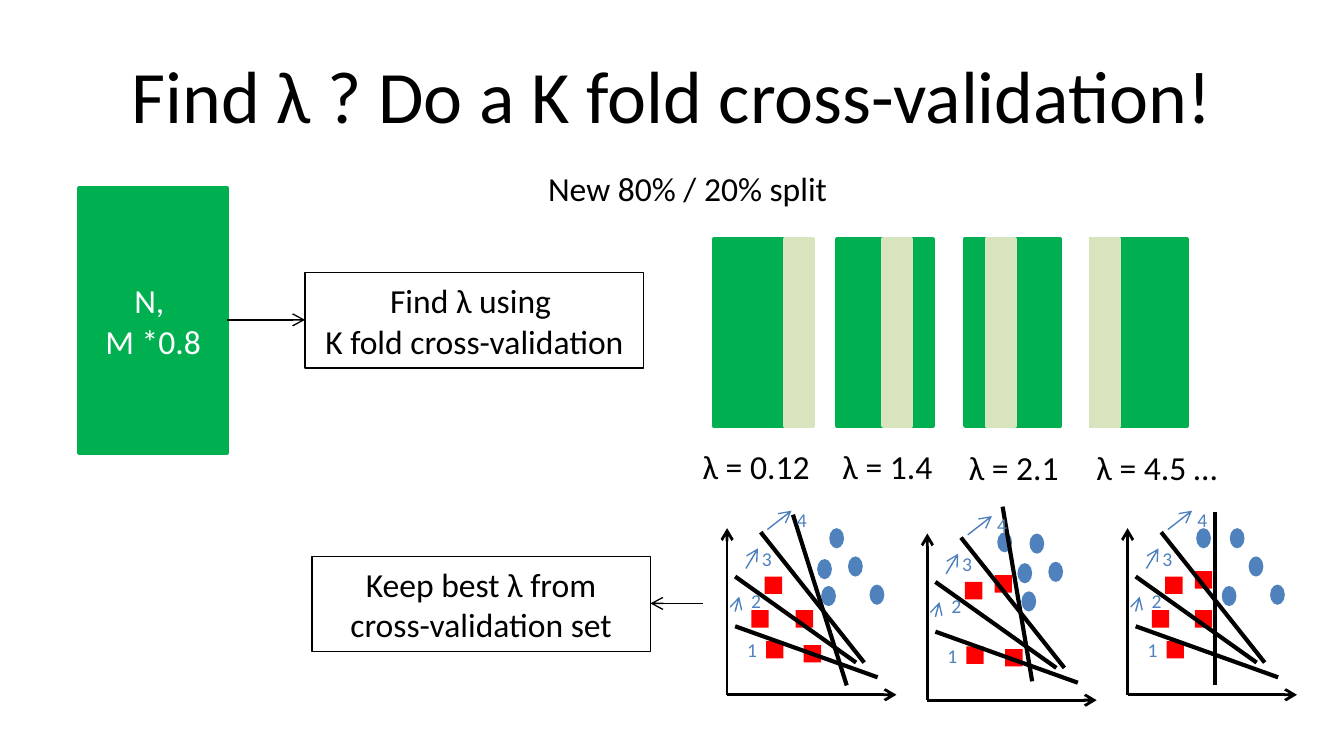
"""Build a slide on finding lambda with K fold cross-validation."""
from dataclasses import dataclass

from lxml.etree import SubElement
from pptx import Presentation
from pptx.dml.color import RGBColor
from pptx.enum.shapes import MSO_CONNECTOR as Connector, MSO_SHAPE as Shape
from pptx.enum.text import MSO_ANCHOR as Anchor, PP_ALIGN as Align
from pptx.oxml.ns import qn
from pptx.util import Inches, Pt


@dataclass(frozen=True)
class Theme:
    font: str = "Calibri"
    black: str = "000000"
    white: str = "FFFFFF"
    train: str = "00B050"
    held_out: str = "D7E4BD"
    square: str = "FF0000"
    circle: str = "4F81BD"
    step: str = "4B7EBC"
    title_size: float = 39.6
    body_size: float = 18
    digit_size: float = 10.5
    thin: float = 0.75
    axis: float = 1.5
    edge: float = 2
    boundary: float = 2.25


THEME = Theme()
COLUMNS, ROWS = 100, 56.25

TITLE = ("Find λ ? Do a K fold cross-validation!", (5, 2.3, 90, 9.4))
SPLIT = ("New 80% / 20% split", (39.8, 12, 23, 4))
DATASET = ("N, \nM *0.8", (5.9, 14, 11, 19.7))
STEPS = [
    ("Find λ using \nK fold cross-validation", (22.7, 20.3, 25.2, 7.1)),
    ("Keep best λ from cross-validation set", (23.2, 41.4, 25.2, 7.1)),
]
FLOW = [((16.9, 23.8), (22.7, 23.8)), ((52.3, 44.9), (48.4, 44.9))]

FOLD_TOP, FOLD_WIDTH, FOLD_HEIGHT, HELD_OUT_WIDTH = 17.8, 7.1, 13.9, 2.1
FOLDS = [
    {"left": 53.1, "held_out": 5.3, "label": "λ = 0.12", "label_box": (51.3, 32.7, 10.3, 4)},
    {"left": 62.3, "held_out": 3.4, "label": "λ = 1.4", "label_box": (61.7, 32.7, 8.8, 4)},
    {"left": 71.8, "held_out": 1.6, "label": "λ = 2.1", "label_box": (71.1, 32.8, 8.8, 4)},
    {"left": 81.2, "held_out": 0, "label": "λ = 4.5 …", "label_box": (80.6, 32.8, 11.3, 4)},
]

AXES = [((0, 0), (0, -12.4)), ((0, 0), (12.6, 0))]
SQUARES = [(2.9, -4), (2.8, -8.8)]
CIRCLES = [(7.6, -12.4), (9, -10.3), (7, -8.1)]
BOUNDARIES = [((2.5, -12.1), (10.2, -2.4)), ((0.6, -5.1), (11.2, -1.3)), ((0.6, -8.8), (9.6, -2.4))]
TURNS = [((0.6, -6.2), (0.9, -7.3)), ((1.4, -9.4), (2.3, -10.9)), ((3, -12.3), (4.8, -13.7))]
DIGITS = [("1", (0.5, -4.7)), ("2", (0.8, -8.4)), ("3", (1.6, -11.5)), ("4", (4.2, -14.4))]
PLOTS = [
    {"origin": (83.9, 51.7), "steep": ((6.5, -13.6), (6.5, -0.7)),
     "squares": [(5, -9.2), (1.8, -6.3), (5, -6.3)],
     "circles": [(5.1, -12.4), (10.6, -8.2)]},
    {"origin": (69, 52.1), "steep": ((5.6, -14.4), (7.8, -1.4)),
     "squares": [(5, -9.3), (5.8, -3.8)],
     "circles": [(5.2, -12.5), (6.7, -10.2)]},
    {"origin": (54.1, 51.7), "steep": ((4.9, -13.4), (8.9, -0.7)),
     "squares": [(1.8, -6.3), (5.1, -6.3), (5.7, -3.7)],
     "circles": [(6.7, -10.1), (10.6, -8.2)]},
]

deck = Presentation()
deck.slide_width = Inches(10)
deck.slide_height = deck.slide_width * 9 // 16
page = deck.slides.add_slide(deck.slide_layouts[6])


def place(across, down):
    return round(across * deck.slide_width / COLUMNS), round(down * deck.slide_height / ROWS)


def frame(box):
    left, top, width, height = box
    return *place(left, top), *place(width, height)


def shift(point, origin):
    return point[0] + origin[0], point[1] + origin[1]


def write(shape, text, size, color, align=Align.CENTER, wrap=True, anchor=Anchor.MIDDLE):
    shape.text_frame.text = text
    shape.text_frame.word_wrap = wrap
    shape.text_frame.vertical_anchor = anchor
    for para in shape.text_frame.paragraphs:
        para.alignment = align
        for span in para.runs:
            span.font.name = THEME.font
            span.font.size = Pt(size)
            span.font.color.rgb = RGBColor.from_string(color)


def label(parent, text, box, size=THEME.body_size, color=THEME.black):
    write(parent.add_textbox(*frame(box)), text, size, color, Align.LEFT, False, Anchor.TOP)


def block(parent, kind, box, fill=None, outline=None, width=THEME.edge):
    shape = parent.add_shape(kind, *frame(box))
    shape.shadow.inherit = False
    if fill:
        shape.fill.solid()
        shape.fill.fore_color.rgb = RGBColor.from_string(fill)
    else:
        shape.fill.background()
    if outline:
        shape.line.color.rgb = RGBColor.from_string(outline)
        shape.line.width = Pt(width)
    else:
        shape.line.fill.background()
    return shape


def stroke(parent, ends, color, width, arrow=False):
    start, end = ends
    connector = parent.add_connector(Connector.STRAIGHT, *place(*start), *place(*end))
    connector.line.color.rgb = RGBColor.from_string(color)
    connector.line.width = Pt(width)
    properties = connector.element.spPr
    if arrow:
        SubElement(properties.find(qn("a:ln")), qn("a:tailEnd"), type="arrow")
    SubElement(properties, qn("a:effectLst"))


def draw_fold(fold):
    strips = [(fold["left"], FOLD_WIDTH, THEME.train),
              (fold["left"] + fold["held_out"], HELD_OUT_WIDTH, THEME.held_out)]
    for left, width, color in strips:
        block(page.shapes, Shape.RECTANGLE, (left, FOLD_TOP, width, FOLD_HEIGHT), color, color)
    label(page.shapes, fold["label"], fold["label_box"])


def draw_plot(plot):
    parent, origin = page.shapes.add_group_shape().shapes, plot["origin"]
    markers = [
        (Shape.RECTANGLE, SQUARES + plot["squares"], (1.3, 1.3), THEME.square),
        (Shape.OVAL, CIRCLES + plot["circles"], (1.1, 1.5), THEME.circle),
    ]
    strokes = [
        (AXES, THEME.black, THEME.axis, True),
        (BOUNDARIES + [plot["steep"]], THEME.black, THEME.boundary, False),
        (TURNS, THEME.step, THEME.thin, True),
    ]
    for kind, points, size, color in markers:
        for point in points:
            block(parent, kind, (*shift(point, origin), *size), color)
    for lines, color, width, arrow in strokes:
        for start, end in lines:
            stroke(parent, (shift(start, origin), shift(end, origin)), color, width, arrow)
    for digit, point in DIGITS:
        label(parent, digit, (*shift(point, origin), 2.8, 2.9), THEME.digit_size, THEME.circle)


def main():
    title, title_box = TITLE
    write(page.shapes.add_textbox(*frame(title_box)), title, THEME.title_size, THEME.black)
    text, box = DATASET
    dataset = block(page.shapes, Shape.RECTANGLE, box, THEME.train, THEME.train)
    write(dataset, text, THEME.body_size, THEME.white)
    for text, box in STEPS:
        step = block(page.shapes, Shape.RECTANGLE, box, None, THEME.black, THEME.thin)
        write(step, text, THEME.body_size, THEME.black)
    for ends in FLOW:
        stroke(page.shapes, ends, THEME.black, THEME.thin, True)
    label(page.shapes, *SPLIT)
    for fold in FOLDS:
        draw_fold(fold)
    for plot in PLOTS:
        draw_plot(plot)
    deck.save("out.pptx")


if __name__ == "__main__":
    main()
